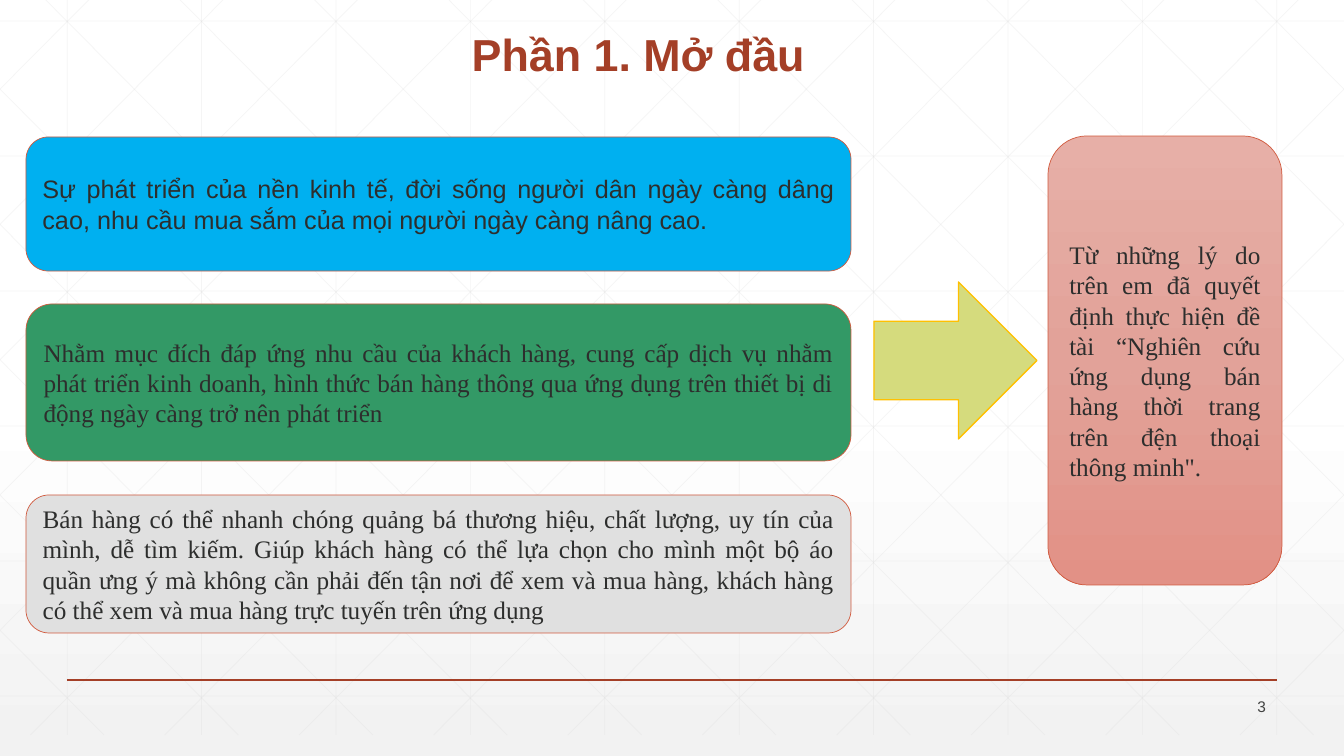
from copy import deepcopy
from dataclasses import dataclass

from lxml import etree
from pptx import Presentation
from pptx import util as u
from pptx.dml.color import RGBColor
from pptx.enum import shapes, text
from pptx.oxml.ns import qn

WIDTH, HEIGHT = 1344, 756
PX = 914400 / 100.8
SANS, SERIF = "Arial", "Times New Roman"
RED, EDGE, INK, GRID = "A43F27", "D15A3E", "2D2E2D", "D9D9D9"
Stops = list[tuple[float, str]]


@dataclass
class Label:
    text: str
    font: str = SERIF
    size: int = 18
    color: str = INK
    bold: bool = False
    align: text.PP_ALIGN = text.PP_ALIGN.JUSTIFY
    anchor: text.MSO_ANCHOR = text.MSO_ANCHOR.MIDDLE
    line_spacing: float = 1.0
    space: int = 0  # points before and after


@dataclass
class Card:
    left: int
    top: int
    width: int
    height: int
    fill: str | Stops
    label: Label | None = None
    shape: shapes.MSO_SHAPE = shapes.MSO_SHAPE.ROUNDED_RECTANGLE
    line: str = EDGE
    line_width: float = 0.5


def px(n: float) -> u.Emu:
    return u.Emu(round(n * PX))


def rgb(color: str) -> RGBColor:
    return RGBColor.from_string(color)


def set_gradient(fill, root, stops: Stops) -> None:
    """Top-to-bottom gradient with three stops."""
    fill.gradient()
    fill.gradient_angle = 270
    gs_list = root.xpath(".//a:gsLst")[0]
    gs_list.append(deepcopy(gs_list[0]))
    for stop, (position, color) in zip(fill.gradient_stops, stops):
        stop.position = position
        stop.color.rgb = rgb(color)


def write(sp, label: Label) -> None:
    tf = sp.text_frame
    tf.word_wrap = True
    tf.vertical_anchor = label.anchor
    p = tf.paragraphs[0]
    p.text = label.text
    p.alignment = label.align
    p.line_spacing = label.line_spacing
    if label.space:
        p.space_after = u.Pt(label.space)
    p.font.name = label.font
    p.font.size = u.Pt(label.size)
    p.font.bold = label.bold
    p.font.color.rgb = rgb(label.color)


def add_label(s, left: int, top: int, width: int, height: int, label: Label) -> None:
    write(s.shapes.add_textbox(px(left), px(top), px(width), px(height)), label)


def add_card(s, card: Card) -> None:
    sp = s.shapes.add_shape(card.shape, px(card.left), px(card.top),
                            px(card.width), px(card.height))
    sp.shadow.inherit = False
    if isinstance(card.fill, str):
        sp.fill.solid()
        sp.fill.fore_color.rgb = rgb(card.fill)
    else:
        set_gradient(sp.fill, sp._element, card.fill)
    sp.line.color.rgb = rgb(card.line)
    sp.line.width = u.Pt(card.line_width)
    if card.label:
        write(sp, card.label)


def add_line(s, x1: float, y1: float, x2: float, y2: float,
             color: str, width: float, opacity: int = 100) -> None:
    line = s.shapes.add_connector(shapes.MSO_CONNECTOR.STRAIGHT,
                                  px(x1), px(y1), px(x2), px(y2))
    line.line.color.rgb = rgb(color)
    line.line.width = u.Pt(width)
    sp_pr = line._element.spPr
    if opacity < 100:
        clr = sp_pr.find(".//" + qn("a:srgbClr"))
        etree.SubElement(clr, qn("a:alpha")).set("val", str(opacity * 1000))
    etree.SubElement(sp_pr, qn("a:effectLst"))


def add_grid(s) -> None:
    top, bottom, run = -21, 735, 751
    step = WIDTH / 10
    slope = (bottom - top) / run
    for i in range(10):
        x = step * (i + 0.5)
        add_line(s, x, top, x, bottom, GRID, 0.5, 25)
    for i in range(6):
        y = 21 + 135 * i
        add_line(s, 0, y, WIDTH, y, GRID, 0.5, 25)
    # Diagonals cut at the slide's sides, each with its mirror image
    for i in range(-5, 10):
        start = 25 + step * i
        x1, x2 = max(start, 0), min(start + run, WIDTH)
        y1, y2 = (top + (x - start) * slope for x in (x1, x2))
        add_line(s, x1, y1, x2, y2, GRID, 0.5, 25)
        add_line(s, WIDTH - x1, y1, WIDTH - x2, y2, GRID, 0.5, 25)


CARDS = [
    Card(26, 137, 825, 134, "00B0F0", Label(
        "Sự phát triển của nền kinh tế, đời sống người dân ngày càng dâng cao, "
        "nhu cầu mua sắm của mọi người ngày càng nâng cao.", SANS)),
    Card(874, 282, 163, 157, "D5DB7D", shape=shapes.MSO_SHAPE.RIGHT_ARROW,
         line="FFC000", line_width=1),
    Card(26, 495, 825, 138, "E0E0E0", Label(
        "Bán hàng có thể nhanh chóng quảng bá thương hiệu, chất lượng, uy tín của "
        "mình, dễ tìm kiếm. Giúp khách hàng có thể lựa chọn cho mình một bộ áo "
        "quần ưng ý mà không cần phải đến tận nơi để xem và mua hàng, khách hàng "
        "có thể xem và mua hàng trực tuyến trên ứng dụng")),
    Card(26, 304, 825, 157, "339966", Label(
        "Nhằm mục đích đáp ứng nhu cầu của khách hàng, cung cấp dịch vụ nhằm "
        "phát triển kinh doanh, hình thức bán hàng thông qua ứng dụng trên thiết bị "
        "di động ngày càng trở nên phát triển")),
    Card(1048, 136, 234, 449, [(0, "E7AFA7"), (0.5, "E2A299"), (1, "E29186")], Label(
        "Từ những lý do trên em đã quyết định thực hiện đề tài “Nghiên cứu ứng dụng "
        "bán hàng thời trang trên đện thoại thông minh\".", space=6)),
]


def main() -> None:
    prs = Presentation()
    prs.slide_width, prs.slide_height = px(WIDTH), px(HEIGHT)
    s = prs.slides.add_slide(prs.slide_layouts[6])

    # Background and grid
    set_gradient(s.background.fill, s._element,
                 [(0, "FFFFFF"), (0.53, "FFFFFF"), (1, "F2F2F2")])
    add_grid(s)

    # Footer rule and title
    add_line(s, 67, 680, 1277, 680, RED, 1)
    add_label(s, 194, 22, 889, 64, Label(
        "Phần 1. Mở đầu", SANS, 32, RED, True, text.PP_ALIGN.CENTER,
        text.MSO_ANCHOR.BOTTOM, 0.9))

    # Reasons, arrow and conclusion
    for card in CARDS:
        add_card(s, card)

    # Page number
    add_label(s, 1175, 694, 101, 24, Label(
        "3", SANS, 11, "424342", align=text.PP_ALIGN.RIGHT))

    prs.save("out.pptx")


if __name__ == "__main__":
    main()
